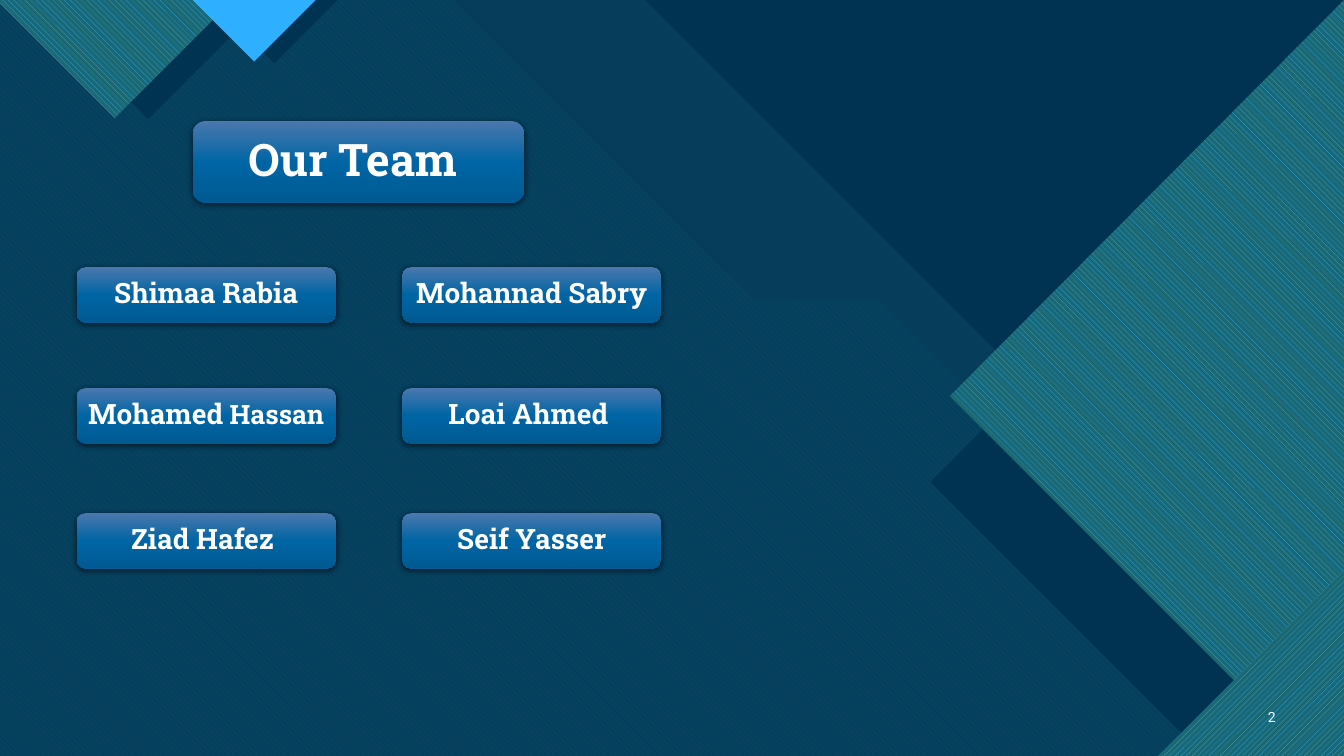
from lxml import etree
from pptx import Presentation
from pptx.dml.color import RGBColor
from pptx.enum.dml import MSO_PATTERN as Pattern
from pptx.enum.shapes import MSO_SHAPE as Shape
from pptx.enum.text import MSO_ANCHOR as Anchor, PP_ALIGN as Align
from pptx.oxml.ns import qn
from pptx.util import Inches, Pt

NAVY = RGBColor(0x00, 0x33, 0x52)
BASE = RGBColor(0x0C, 0x43, 0x60)
AQUA = RGBColor(0x47, 0xC3, 0xD3)
TEAL = RGBColor(0x1B, 0x68, 0x72)
SKY = RGBColor(0x2F, 0xAF, 0xFF)
BLUE = RGBColor(0x00, 0x65, 0xA4)
LIGHT = RGBColor(0x4B, 0x78, 0xAE)
DEEP = RGBColor(0x00, 0x5A, 0x92)
BLACK = RGBColor(0, 0, 0)
WHITE = RGBColor(0xFF, 0xFF, 0xFF)

WIDE, HIGH = 13.33, 7.5
DOWN = Pattern.WIDE_DOWNWARD_DIAGONAL
UP = Pattern.WIDE_UPWARD_DIAGONAL
TEAM = [
    [["Shimaa Rabia"], ["Mohannad Sabry"]],
    [["Mohamed", " Hassan"], ["Loai Ahmed "]],
    [["Ziad Hafez "], ["Seif Yasser"]],
]
LEFTS = [0.76, 3.99]
TOPS = [2.65, 3.85, 5.09]


def add_node(parent, tag, **attrs):
    node = etree.SubElement(parent, qn(tag))
    for key, value in attrs.items():
        node.set(key, str(value))
    return node


def add_area(slide, points, color, back=None, pattern=None, alpha=None):
    """Draw a closed outline with a plain, clear or striped fill."""
    points = [(Inches(x), Inches(y)) for x, y in points]
    builder = slide.shapes.build_freeform(*points[0])
    builder.add_line_segments(points[1:], close=True)
    area = builder.convert_to_shape()
    area.shadow.inherit = False
    area.line.fill.background()
    if pattern:
        area.fill.patterned()
        area.fill.pattern = pattern
        area.fill.fore_color.rgb = color
        area.fill.back_color.rgb = back
    else:
        area.fill.solid()
        area.fill.fore_color.rgb = color
    if alpha:
        tint = area._element.spPr.find(".//" + qn("a:srgbClr"))
        add_node(tint, "a:alpha", val=alpha * 1000)


def add_wedge(slide, mid, half, *fill):
    """Hang a triangle from the top edge."""
    add_area(slide, [(mid - half, 0), (mid + half, 0), (mid, half)], *fill)


def band(start, end):
    """Outline of a left-hand area with a stepped diagonal edge."""
    step = 2.97
    return [(0, 0), (start, 0), (start + step, step), (end, step),
            (WIDE, step + WIDE - end), (WIDE, HIGH), (0, HIGH)]


def add_button(slide, box, parts, sizes, inset):
    """Draw a glossy button with its label."""
    button = slide.shapes.add_shape(Shape.ROUNDED_RECTANGLE,
                                    *[Inches(n) for n in box])
    button.line.fill.background()
    button.fill.gradient()
    button.fill.gradient_angle = 270
    props = button._element.spPr
    stops = props.find(".//" + qn("a:gsLst"))
    for stop in list(stops):
        stops.remove(stop)
    for place, color in [(0, LIGHT), (50, BLUE), (100, DEEP)]:
        stop = add_node(stops, "a:gs", pos=place * 1000)
        add_node(stop, "a:srgbClr", val=color)

    # Soft shadow below
    button.shadow.inherit = False
    shade = add_node(props.find(qn("a:effectLst")), "a:outerShdw",
                     blurRad=int(Pt(4.5)), dist=int(Pt(1.5)),
                     dir=90 * 60000, algn="ctr", rotWithShape=0)
    tint = add_node(shade, "a:srgbClr", val=BLACK)
    add_node(tint, "a:alpha", val=63000)

    # Label
    frame = button.text_frame
    frame.word_wrap = True
    frame.vertical_anchor = Anchor.MIDDLE
    frame.margin_left = frame.margin_right = Inches(inset)
    frame.margin_top = frame.margin_bottom = Inches(inset)
    label = frame.paragraphs[0]
    label.alignment = Align.CENTER
    label.line_spacing = 0.9
    label.font.name = "Roboto Slab"
    label.font.bold = True
    label.font.color.rgb = WHITE
    for part, size in zip(parts, sizes):
        run = label.add_run()
        run.text = part
        run.font.size = Pt(size)


def add_number(slide, text):
    box = slide.shapes.add_textbox(Inches(12.31), Inches(6.91),
                                   Inches(0.44), Inches(0.4))
    frame = box.text_frame
    frame.word_wrap = True
    frame.vertical_anchor = Anchor.MIDDLE
    number = frame.paragraphs[0]
    number.text = text
    number.alignment = Align.RIGHT
    number.font.name = "Roboto"
    number.font.size = Pt(10)
    number.font.color.rgb = WHITE


def add_scene(slide):
    # Layered backdrop
    slide.background.fill.solid()
    slide.background.fill.fore_color.rgb = BASE
    add_area(slide, band(8.26, 12.35), AQUA, alpha=74)
    add_area(slide, band(4.49, 8.72), BLUE, AQUA, DOWN)
    add_area(slide, [(6.4, 0), (WIDE, 0), (WIDE, 6.93)], NAVY)
    add_area(slide, band(6.95, 11.18), NAVY, alpha=90)

    # Diamond on the right and its shade
    add_area(slide, [(WIDE, 0.68), (WIDE, HIGH), (11.95, HIGH),
                     (9.23, 4.78)], NAVY)
    add_area(slide, [(WIDE, 0), (WIDE, HIGH), (12.99, HIGH),
                     (9.42, 3.93)], SKY, TEAL, DOWN)

    # Bottom corner
    for side, *fill in [(1.36, NAVY), (1.84, SKY, TEAL, UP)]:
        add_area(slide, [(WIDE, HIGH - side), (WIDE, HIGH),
                         (WIDE - side, HIGH)], *fill)

    # Wedges along the top
    add_wedge(slide, 1.47, 1.18, NAVY)
    add_wedge(slide, 1.14, 1.17, SKY, TEAL, DOWN)
    add_wedge(slide, 2.72, 0.63, NAVY)
    add_wedge(slide, 2.52, 0.61, SKY)


def main():
    deck = Presentation()
    deck.slide_width, deck.slide_height = Inches(WIDE), Inches(HIGH)
    slide = deck.slides.add_slide(deck.slide_layouts[6])
    add_scene(slide)
    add_number(slide, "2")

    # Team buttons in a grid, then the title
    for top, row in zip(TOPS, TEAM):
        for left, parts in zip(LEFTS, row):
            add_button(slide, (left, top, 2.57, 0.55), parts, [20, 19], 0.08)
    add_button(slide, (1.91, 1.2, 3.29, 0.81), ["Our Team "], [32], 0.13)
    deck.save("out.pptx")


if __name__ == "__main__":
    main()
